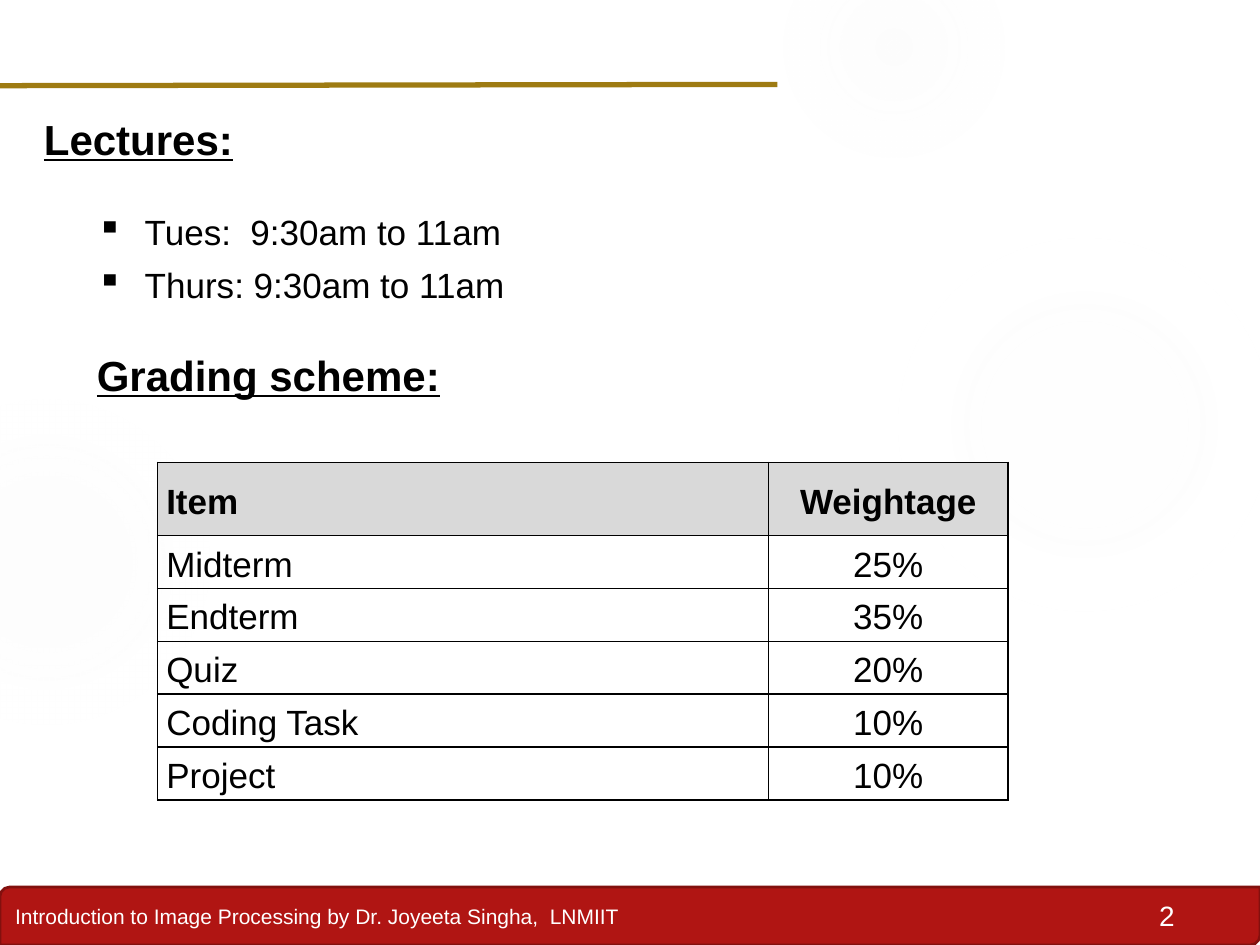
"""Build the course slide with lecture times and the grading scheme."""
from lxml import etree
from pptx import Presentation
from pptx.dml.color import RGBColor
from pptx.enum.shapes import MSO_CONNECTOR, MSO_SHAPE
from pptx.enum.text import MSO_ANCHOR, MSO_AUTO_SIZE, PP_ALIGN
from pptx.oxml import parse_xml
from pptx.oxml.ns import nsdecls, qn
from pptx.util import Inches, Pt


def rgb(value):
    return RGBColor.from_string(value)


def add_run(p, text, size, color="000000", bold=False, underline=False):
    r = p.add_run()
    r.text = text
    r.font.name = "Arial"
    r.font.size = Pt(size)
    r.font.bold = bold
    r.font.underline = underline
    r.font.color.rgb = rgb(color)


prs = Presentation()
prs.slide_width, prs.slide_height = Inches(10), Inches(7.5)
s = prs.slides.add_slide(prs.slide_layouts[6])

footer = s.shapes.add_shape(MSO_SHAPE.ROUND_2_DIAG_RECTANGLE,
                            Inches(0), Inches(7.04), Inches(10), Inches(0.46))
footer.shadow.inherit = False
footer.fill.solid()
footer.fill.fore_color.rgb = rgb("B01513")
footer.line.color.rgb = rgb("82100E")
footer.line.width = Pt(1.5)
tf = footer.text_frame
tf.vertical_anchor = MSO_ANCHOR.MIDDLE
p = tf.paragraphs[0]
p.alignment = PP_ALIGN.LEFT
add_run(p, "Introduction to Image Processing by Dr. Joyeeta Singha,  LNMIIT", 12, "FFFFFF")

circles = [
    (7.07, 1.83, 3.08, [(0, 7), (36, 6), (69, 0)]),
    (6.22, -0.5, 1.75, [(0, 14), (36, 7), (73, 0)]),
    (-0.92, 3.17, 2.58, [(0, 8), (36, 8), (72, 0)]),
]
for left, top, size, stops in circles:
    sp = s.shapes.add_shape(MSO_SHAPE.OVAL, Inches(left), Inches(top), Inches(size), Inches(size))
    sp.shadow.inherit = False
    sp.line.fill.background()
    gs = "".join(f'<a:gs pos="{pos * 1000}"><a:srgbClr val="F3F3F3">'
                 f'<a:alpha val="{alpha * 1000}"/></a:srgbClr></a:gs>' for pos, alpha in stops)
    grad = parse_xml(f'<a:gradFill {nsdecls("a")}><a:gsLst>{gs}</a:gsLst><a:path path="circle">'
                     '<a:fillToRect l="50000" t="50000" r="50000" b="50000"/></a:path></a:gradFill>')
    sp._element.spPr.find(qn("a:prstGeom")).addnext(grad)

number = s.shapes.add_textbox(Inches(8.67), Inches(7.08), Inches(0.75), Inches(0.37))
number.text_frame.word_wrap = True
p = number.text_frame.paragraphs[0]
p.alignment = PP_ALIGN.RIGHT
add_run(p, "2", 16, "FFFFFF")

rule = s.shapes.add_connector(MSO_CONNECTOR.STRAIGHT,
                              Inches(-0.02), Inches(0.68), Inches(6.17), Inches(0.67))
rule.line.color.rgb = rgb("9E7B12")
rule.line.width = Pt(3)
etree.SubElement(rule._element.spPr, qn("a:effectLst"))

body = s.shapes.add_textbox(Inches(0.25), Inches(0.75), Inches(9.58), Inches(5.91))
tf = body.text_frame
tf.word_wrap = True
tf.auto_size = MSO_AUTO_SIZE.NONE
lines = [
    ("Lectures:", 0, 0, False),
    ("Tues:  9:30am to 11am", 20.5, 0.8, True),
    ("Thurs: 9:30am to 11am", 0.5, 0.8, True),
    ("Grading scheme:", 18, 0.42, False),
]
for i, (text, before, indent, bulleted) in enumerate(lines):
    p = tf.add_paragraph() if i else tf.paragraphs[0]
    p.alignment = PP_ALIGN.JUSTIFY
    p.line_spacing = 1.25
    p.space_before = Pt(before)
    pPr = p._p.get_or_add_pPr()
    pPr.set("marL", str(Inches(indent)))
    if bulleted:
        pPr.set("indent", str(Inches(-0.38)))
        etree.SubElement(pPr, qn("a:buChar")).set("char", "▪")
    add_run(p, text, 20 if bulleted else 24, bold=not bulleted, underline=not bulleted)

rows = [
    ("Item", "Weightage"),
    ("Midterm", "25%"),
    ("Endterm", "35%"),
    ("Quiz", "20%"),
    ("Coding Task", "10%"),
    ("Project", "10%"),
]
table = s.shapes.add_table(len(rows), 2, Inches(1.25), Inches(3.67),
                           Inches(6.75), Inches(2.68)).table
table.columns[0].width, table.columns[1].width = Inches(4.85), Inches(1.9)
for i, row in enumerate(rows):
    table.rows[i].height = Inches(0.42 if i else 0.58)
    for j, text in enumerate(row):
        cell = table.cell(i, j)
        cell.vertical_anchor = MSO_ANCHOR.MIDDLE
        cell.margin_left = cell.margin_right = Inches(0.07)
        cell.margin_top = cell.margin_bottom = 0
        tcPr = cell._tc.get_or_add_tcPr()
        for side in ("lnL", "lnR", "lnT", "lnB"):
            tcPr.append(parse_xml(f'<a:{side} {nsdecls("a")} w="{Pt(1)}"><a:solidFill>'
                                  f'<a:srgbClr val="000000"/></a:solidFill></a:{side}>'))
        if i:
            cell.fill.background()
        else:
            cell.fill.solid()
            cell.fill.fore_color.rgb = rgb("D9D9D9")
        p = cell.text_frame.paragraphs[0]
        p.alignment = PP_ALIGN.CENTER if j else PP_ALIGN.LEFT
        p.line_spacing = 1.15
        add_run(p, text, 20, bold=i == 0)

prs.save("out.pptx")
